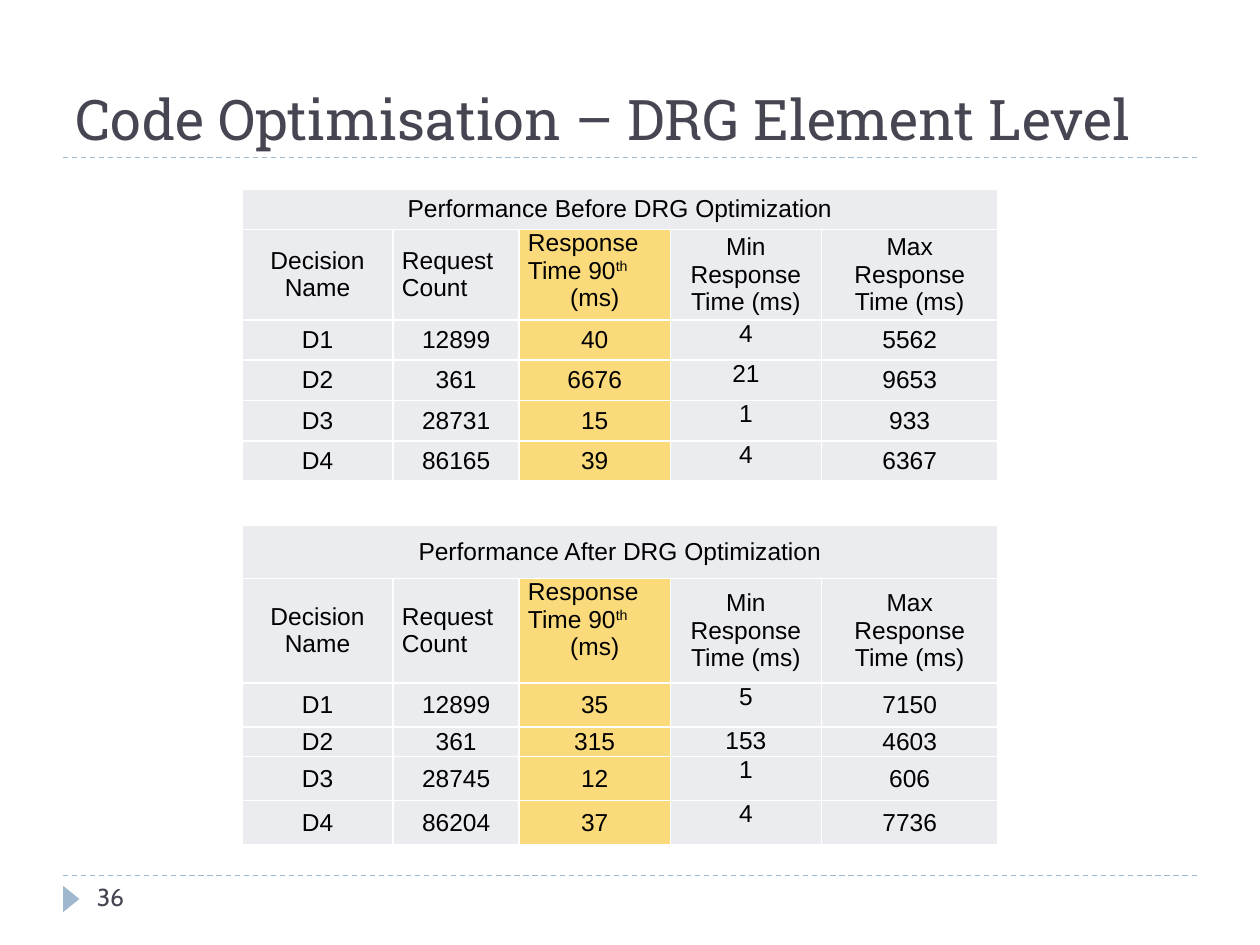
import pptx
import pptx.util
import pptx.dml.color
import pptx.enum.dml
import pptx.enum.shapes
import pptx.enum.text
import pptx.oxml
import pptx.oxml.ns

RGB = pptx.dml.color.RGBColor
Pt = pptx.util.Pt
ALIGN = pptx.enum.text.PP_ALIGN
ANCHOR = pptx.enum.text.MSO_ANCHOR

INK = RGB(0x46, 0x46, 0x53)
BLUE = RGB(0x9F, 0xB8, 0xCD)
GREY = RGB(0xEB, 0xEC, 0xF0)
GOLD = RGB(0xFA, 0xDA, 0x7A)
BLACK = RGB(0, 0, 0)

deck = pptx.Presentation()
deck.slide_width = pptx.util.Inches(10)
deck.slide_height = pptx.util.Inches(7.5)
slide = deck.slides.add_slide(deck.slide_layouts[6])
shapes = slide.shapes


def grid(*counts):
    """Lengths on a square grid, 100 columns across the slide."""
    return [int(deck.slide_width * n / 100) for n in counts]


def style(font, name, size, color):
    font.name, font.size = name, Pt(size)
    font.color.rgb = color


# Dashed rules above the footer and below the title
for y in (69.5, 12.5):
    rule = shapes.add_connector(
        pptx.enum.shapes.MSO_CONNECTOR.STRAIGHT, *grid(5, y, 95, y))
    rule.line.color.rgb = BLUE
    rule.line.width = Pt(0.75)
    rule.line.dash_style = pptx.enum.dml.MSO_LINE.DASH
    rule._element.spPr.append(pptx.oxml.parse_xml(
        "<a:effectLst %s/>" % pptx.oxml.ns.nsdecls("a")))

# Footer arrow
arrow = shapes.add_shape(
    pptx.enum.shapes.MSO_SHAPE.ISOSCELES_TRIANGLE, *grid(4.6, 70.7, 2.1, 1.3))
arrow.rotation = 90
arrow.shadow.inherit = False
arrow.fill.solid()
arrow.fill.fore_color.rgb = BLUE
arrow.line.fill.background()

# Title and page number
for words, place, name, size, anchor in (
        ("Code Optimisation – DRG Element Level", (5, 1.7, 90, 10.8),
         "Roboto Slab", 32, ANCHOR.BOTTOM),
        ("36", (6.7, 69.5, 21.7, 4), "Cabin", 14, ANCHOR.TOP)):
    frame = shapes.add_textbox(*grid(*place)).text_frame
    frame.word_wrap = True
    frame.vertical_anchor = anchor
    frame.text = words
    style(frame.paragraphs[0].runs[0].font, name, size, INK)

# Tables: top, row heights, heading, figures
HEADS = ["Decision Name", "Request Count", "Response Time 90\n(ms)",
         "Min Response Time (ms)", "Max Response Time (ms)"]
COLS = grid(12, 10, 12, 12, 14)
TABLES = [
    (15, grid(3.2, 7.2, 3.2, 3.2, 3.2, 3.2), "Before",
     [["D1", "12899", "40", "4", "5562"],
      ["D2", "361", "6676", "21", "9653"],
      ["D3", "28731", "15", "1", "933"],
      ["D4", "86165", "39", "4", "6367"]]),
    (41.7, grid(4.2, 8.3, 3.5, 2.1, 3.5, 3.5), "After",
     [["D1", "12899", "35", "5", "7150"],
      ["D2", "361", "315", "153", "4603"],
      ["D3", "28745", "12", "1", "606"],
      ["D4", "86204", "37", "4", "7736"]]),
]
EDGE = ('<a:%s %s w="12700"><a:solidFill><a:srgbClr val="FFFFFF"/>'
        '</a:solidFill></a:%s>')

for top, rows, when, data in TABLES:
    left, top = grid(19.2, top)
    table = shapes.add_table(len(rows), len(COLS), left, top,
                             sum(COLS), sum(rows)).table
    for col, width in zip(table.columns, COLS):
        col.width = width
    for row, height in zip(table.rows, rows):
        row.height = height
    table.cell(0, 0).merge(table.cell(0, len(COLS) - 1))

    title = ["Performance %s DRG Optimization" % when, "", "", "", ""]
    for r, line in enumerate([title, HEADS] + data):
        for c, words in enumerate(line):
            cell = table.cell(r, c)
            cell.margin_left, cell.margin_right = grid(0.7, 0.7)
            cell.margin_top = cell.margin_bottom = 0
            high = (r == 1 and c == 2) or (r > 1 and c == 3)
            cell.vertical_anchor = ANCHOR.TOP if high else ANCHOR.MIDDLE
            cell.fill.solid()
            cell.fill.fore_color.rgb = GOLD if r and c == 2 else GREY
            props = cell._tc.get_or_add_tcPr()
            for i, tag in enumerate(("lnL", "lnR", "lnT", "lnB")):
                props.insert(i, pptx.oxml.parse_xml(
                    EDGE % (tag, pptx.oxml.ns.nsdecls("a"), tag)))

            cell.text_frame.text = words
            paras = cell.text_frame.paragraphs
            for para in paras:
                para.alignment = ALIGN.CENTER
            if r == 1 and c in (1, 2):
                paras[0].alignment = ALIGN.JUSTIFY
            if r == 1 and c == 2:
                sup = paras[0].add_run()
                sup.text = "th"
                sup._r.get_or_add_rPr().set("baseline", "30000")
            for para in paras:
                for run in para.runs:
                    style(run.font, "Arial", 14, BLACK)

deck.save("out.pptx")
